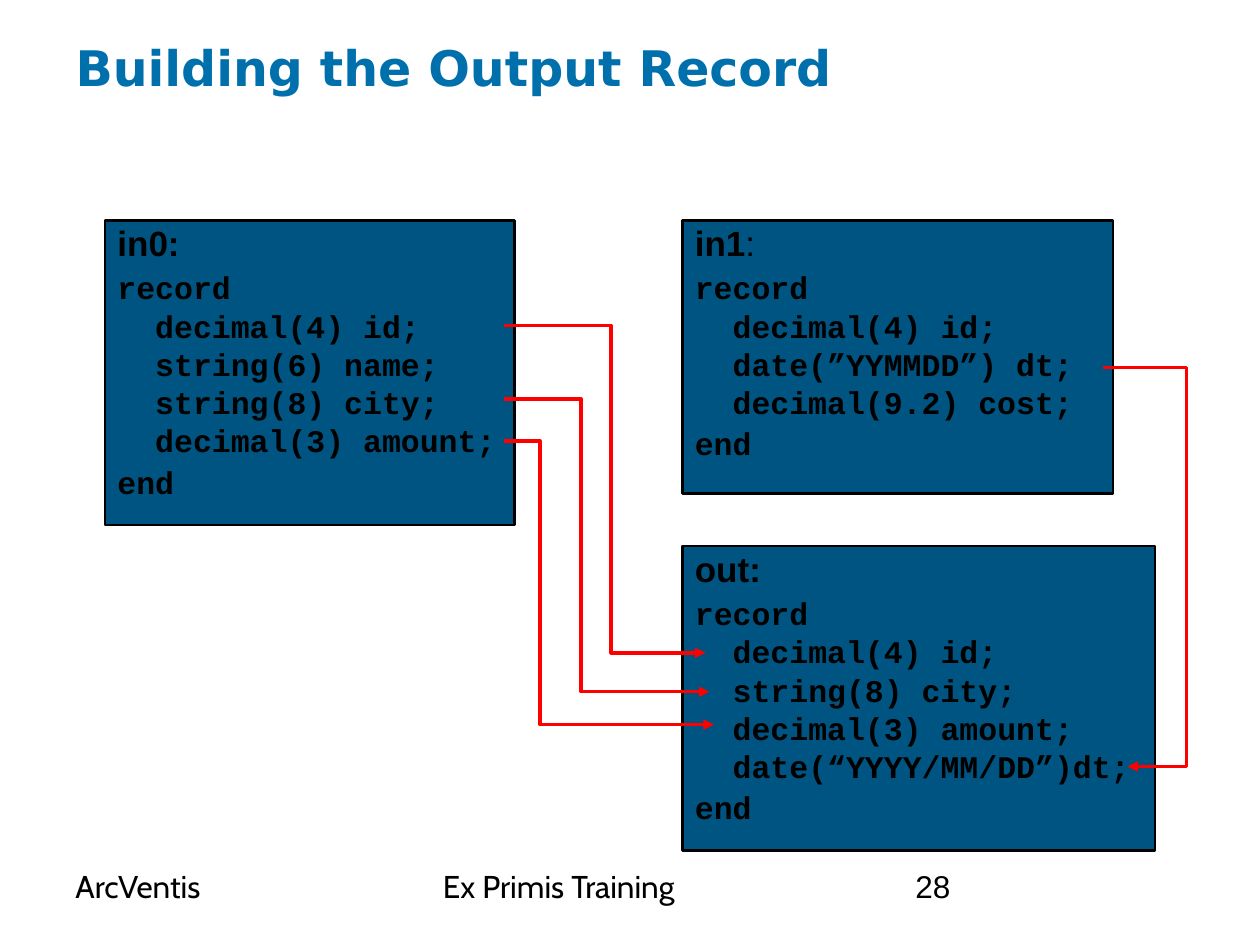
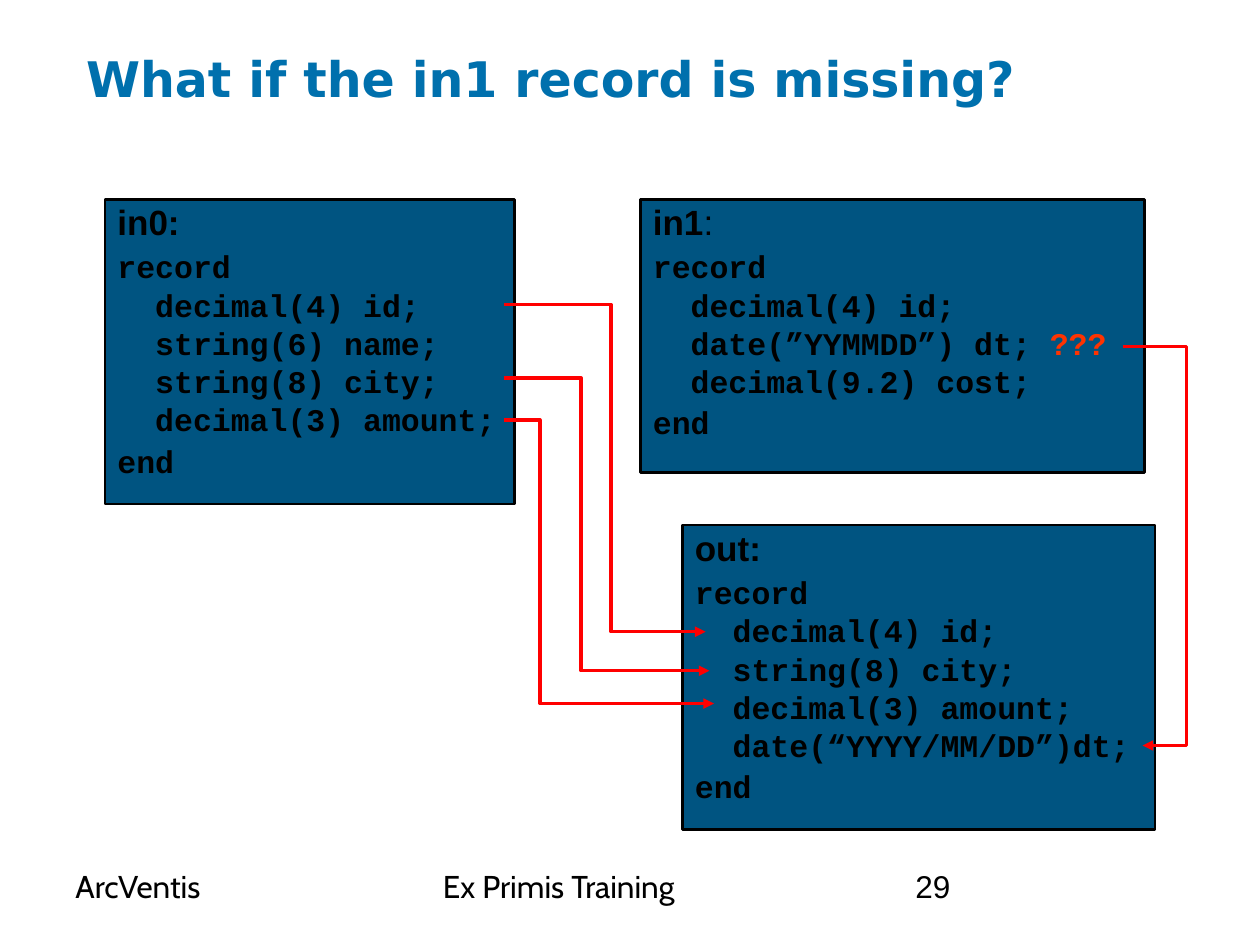
from pptx import Presentation
from pptx.dml.color import RGBColor
from pptx.enum.shapes import MSO_SHAPE as Shape
from pptx.enum.text import MSO_ANCHOR as Anchor, MSO_AUTO_SIZE as AutoSize, PP_ALIGN as Align
from pptx.oxml.ns import qn
from pptx.util import Pt
from lxml.etree import SubElement

COLORS = {
    "title": "0070AD",
    "record": "005481",
    "text": "000000",
    "arrow": "FF0000",
    "missing": "FF3300",
}
TITLE_FONT, FOOTER_FONT, LABEL_FONT, CODE_FONT = "DejaVu Sans", "Cabin", "Arial", "Courier New"
FIELD_INDENT = 21.6
FOOTER_TOP, FOOTER_HEIGHT = 492, 37.5
OUT_OFFSET = 186

IN0_FIELDS = ["decimal(4) id;", "string(6) name;", "string(8) city;", "decimal(3) amount;"]
IN1_FIELDS = ["decimal(4) id;", "date(”YYMMDD”) dt;", "decimal(9.2) cost;"]
OUT_FIELDS = ["decimal(4) id;", "string(8) city;", "decimal(3) amount;", "date(“YYYY/MM/DD”)dt;"]

IN0_ARROWS = [
    (288, 60, 349.2, 403.2, 247),
    (288, 102, 332, 405.4, 269.3),
    (288, 126, 308.5, 408, 288),
]


def color(name):
    return RGBColor.from_string(COLORS[name])


def set_font(font, name, size, color_name="text", bold=False):
    font.name, font.size, font.bold = name, Pt(size), bold
    font.color.rgb = color(color_name)


def add_title(page, text, left, top, height):
    title = page.shapes.title
    title.left, title.top, title.width, title.height = Pt(left), Pt(top), Pt(648), Pt(height)
    frame = title.text_frame
    frame.text = text
    frame.auto_size, frame.vertical_anchor = AutoSize.NONE, Anchor.TOP
    para = frame.paragraphs[0]
    para.alignment = Align.LEFT
    set_font(para.font, TITLE_FONT, 28, "title", True)


def add_footer(page, number):
    for text, left, width, font_name in (
        ("ArcVentis", 36, 168, FOOTER_FONT),
        ("Ex Primis Training", 246, 228, FOOTER_FONT),
        (str(number), 516, 168, LABEL_FONT),
    ):
        box = page.shapes.add_textbox(Pt(left), Pt(FOOTER_TOP), Pt(width), Pt(FOOTER_HEIGHT))
        box.text_frame.word_wrap = True
        para = box.text_frame.paragraphs[0]
        para.text = text
        set_font(para.font, font_name, 18)


def format_line(para, spacing, before, indent=0):
    para.alignment = Align.LEFT
    para.line_spacing, para.space_before = spacing, Pt(before)
    para._p.get_or_add_pPr().set("marL", str(Pt(indent)))


def add_code(frame, text, spacing, indent=0):
    para = frame.add_paragraph()
    para.text = text
    format_line(para, spacing, 4.5, indent)
    set_font(para.font, CODE_FONT, 18, bold=True)
    return para


def add_record(page, name, fields, left, top, width, height, bold_colon=True, missing=None):
    box = page.shapes.add_shape(Shape.RECTANGLE, Pt(left), Pt(top), Pt(width), Pt(height))
    box.shadow.inherit = False
    box.fill.solid()
    box.fill.fore_color.rgb = color("record")
    box.line.color.rgb = color("text")
    box.line.width = Pt(1.5)
    frame = box.text_frame
    frame.word_wrap, frame.vertical_anchor = True, Anchor.TOP

    label = frame.paragraphs[0]
    format_line(label, 0.9, 5)
    for text, bold in ((name, True), (":", bold_colon)):
        span = label.add_run()
        span.text = text
        set_font(span.font, LABEL_FONT, 20, bold=bold)

    add_code(frame, "record", 0.9)
    for field in fields:
        para = add_code(frame, field, 0.8, FIELD_INDENT)
        if field == missing:
            span = para.add_run()
            span.text = " ???"
            span.font.color.rgb = color("missing")
    add_code(frame, "end", 0.9)


def add_arrow(page, top, start_x, start_y, bend_x, end_x, end_y):
    start_y, end_y = top + start_y, top + end_y
    builder = page.shapes.build_freeform(Pt(start_x), Pt(start_y))
    corners = [(bend_x, start_y), (bend_x, end_y), (end_x, end_y)]
    builder.add_line_segments([(Pt(x), Pt(y)) for x, y in corners], close=False)
    arrow = builder.convert_to_shape()
    arrow.shadow.inherit = False
    arrow.fill.background()
    arrow.line.color.rgb = color("arrow")
    arrow.line.width = Pt(2)
    SubElement(arrow.line._get_or_add_ln(), qn("a:tailEnd"), type="triangle")


def add_record_page(deck, number, title, title_place, top, in1_place, date_arrow, missing=None):
    page = deck.slides.add_slide(deck.slide_layouts[5])
    add_title(page, title, *title_place)
    add_footer(page, number)
    in1_left, in1_width = in1_place
    add_record(page, "in0", IN0_FIELDS, 60, top, 234, 174)
    add_record(page, "in1", IN1_FIELDS, in1_left, top, in1_width, 156, False, missing)
    add_record(page, "out", OUT_FIELDS, 390, top + OUT_OFFSET, 270, 174)
    for route in IN0_ARROWS + [date_arrow]:
        add_arrow(page, top, *route)


def main():
    deck = Presentation()
    deck.slide_width, deck.slide_height = Pt(720), Pt(540)
    add_record_page(deck, 28, "Building the Output Record", (36, 18, 66), 126,
                    (390, 246), (630, 84, 678, 644.4, 312))
    add_record_page(deck, 29, "What if the in1 record is missing?", (42, 24, 54), 114,
                    (366, 288), (642, 84, 678, 653, 312), IN1_FIELDS[1])
    deck.save("out.pptx")


if __name__ == "__main__":
    main()
